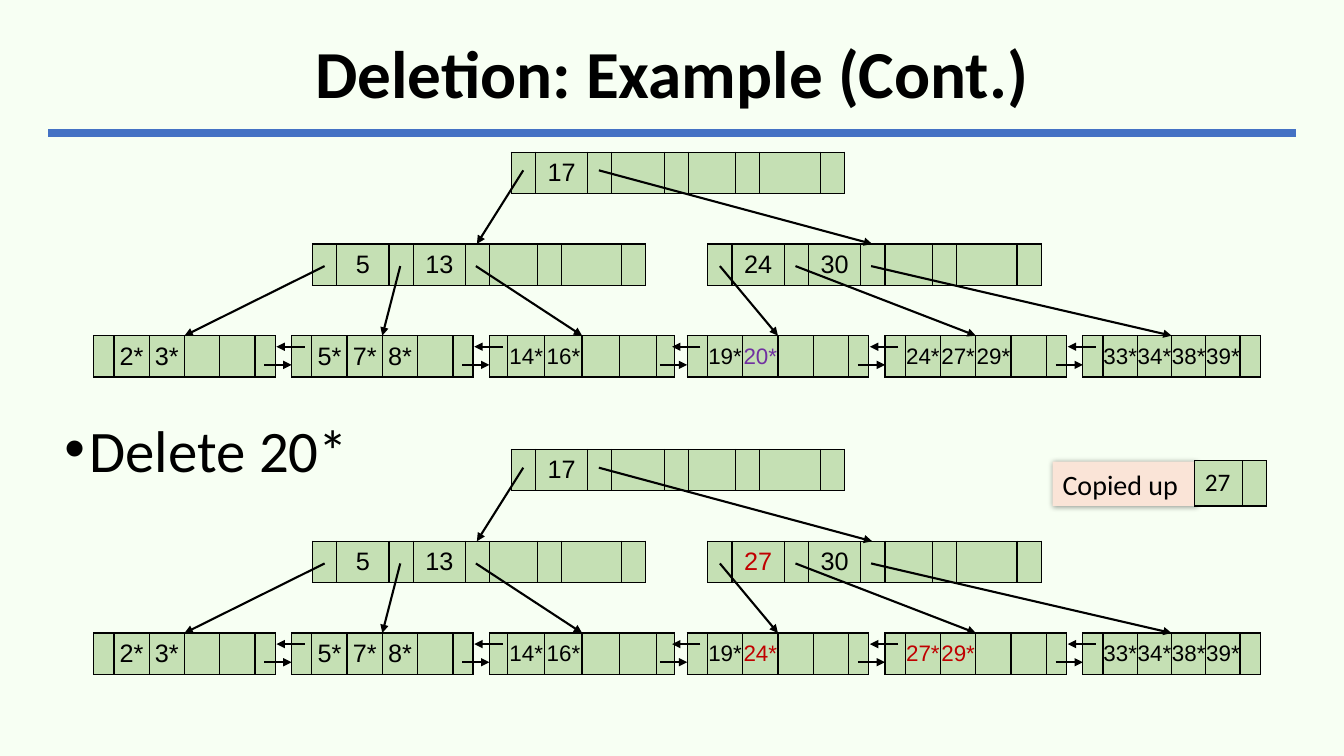
"""Builds the B+ tree deletion slide with the tree before and after deleting 20*."""
from lxml import etree
from pptx import Presentation
from pptx.dml.color import RGBColor
from pptx.enum.shapes import MSO_CONNECTOR, MSO_SHAPE
from pptx.enum.text import MSO_ANCHOR, PP_ALIGN
from pptx.oxml import parse_xml
from pptx.oxml.ns import nsdecls, qn
from pptx.util import Inches, Pt

BLACK = RGBColor(0x00, 0x00, 0x00)
RED = RGBColor(0xC0, 0x00, 0x00)
PURPLE = RGBColor(0x70, 0x30, 0xA0)
BLUE = RGBColor(0x44, 0x72, 0xC4)
GREEN = RGBColor(0xC5, 0xE0, 0xB4)
PEACH = RGBColor(0xFA, 0xE4, 0xD7)
MINT = RGBColor(0xF7, 0xFF, 0xF3)

TITLE = "Deletion: Example (Cont.)"
STEP = "Delete 20*"
TREES = [
    {"top": 1.51, "root": ["17"], "inner": [["5", "13"], ["24", "30"]],
     "leaves": [["2*", "3*"], ["5*", "7*", "8*"], ["14*", "16*"], ["19*", "20*"],
                ["24*", "27*", "29*"], ["33*", "34*", "38*", "39*"]],
     "marked": {"20*": PURPLE}},
    {"top": 4.46, "root": ["17"], "inner": [["5", "13"], ["27", "30"]],
     "leaves": [["2*", "3*"], ["5*", "7*", "8*"], ["14*", "16*"], ["19*", "24*"],
                ["27*", "29*"], ["33*", "34*", "38*", "39*"]],
     "marked": dict.fromkeys(["27", "24*", "27*", "29*"], RED)},
]

NODE_COLS = [0.23, 0.52, 0.23, 0.52, 0.23, 0.47, 0.23, 0.6, 0.23]
LEAF_STYLES = [(0.35, 0.2, 18), (0.35, 0.2, 18), (0.37, 0.18, 16),
               (0.35, 0.2, 16), (0.35, 0.2, 16), (0.34, 0.2, 16)]
ROOT_LEFT, INNER_LEFTS = 5.07, [3.1, 7.02]
LEAF_LEFT, LEAF_STEP = 0.93, 1.962
INNER_DROP, LEAF_DROP, ROW = 0.91, 1.82, 0.41

deck = Presentation()
deck.slide_width, deck.slide_height = Inches(13.33), Inches(7.5)
page = deck.slides.add_slide(deck.slide_layouts[5])


def write(frame, text, size, font="Arial", color=BLACK, bold=False,
          align=PP_ALIGN.CENTER):
    """Puts one formatted paragraph into a text frame."""
    para = frame.paragraphs[0]
    para.alignment = align
    span = para.add_run()
    span.text = text
    span.font.name, span.font.size, span.font.bold = font, Pt(size), bold
    span.font.color.rgb = color
    return para


def add_line(start, end, color=BLACK, width=1.5, arrow=True):
    """Draws a straight line, with an arrowhead at its end if asked."""
    points = [Inches(value) for value in (*start, *end)]
    line = page.shapes.add_connector(MSO_CONNECTOR.STRAIGHT, *points)
    line.line.color.rgb, line.line.width = color, Pt(width)
    if arrow:
        etree.SubElement(line.line._get_or_add_ln(), qn("a:tailEnd"), type="triangle")
    etree.SubElement(line._element.spPr, qn("a:effectLst"))


def add_border(cell):
    """Gives a cell a thin black line on each side."""
    for side in ("lnL", "lnR", "lnT", "lnB"):
        cell._tc.get_or_add_tcPr().append(parse_xml(
            f'<a:{side} {nsdecls("a")} w="12700"><a:solidFill>'
            f'<a:srgbClr val="{BLACK}"/></a:solidFill></a:{side}>'))


def add_node(texts, left, top, cols, size=18, font="Arial", marked=None,
             align=PP_ALIGN.CENTER, height=ROW, inset=0.1):
    """Draws a one-row table from a dict of column index to key."""
    table = page.shapes.add_table(1, len(cols), Inches(left), Inches(top),
                                  Inches(sum(cols)), Inches(height)).table
    table.first_row = table.horz_banding = False
    for index, width in enumerate(cols):
        table.columns[index].width = Inches(width)
        cell = table.cell(0, index)
        add_border(cell)
        cell.fill.solid()
        cell.fill.fore_color.rgb = GREEN
        cell.vertical_anchor = MSO_ANCHOR.MIDDLE
        cell.margin_left = cell.margin_right = Inches(inset)
        if index in texts:
            key = texts[index]
            write(cell.text_frame, key, size, font=font, align=align,
                  color=(marked or {}).get(key, BLACK))


def add_tree(tree):
    """Draws the root, inner nodes and leaves, then the pointers between them."""
    top, marked = tree["top"], tree["marked"]
    inner_top, leaf_top = top + INNER_DROP, top + LEAF_DROP
    leaf_lefts = [LEAF_LEFT + LEAF_STEP * index for index in range(len(tree["leaves"]))]
    nodes = [(tree["root"], ROOT_LEFT, top)]
    nodes += [(keys, left, inner_top) for keys, left in zip(tree["inner"], INNER_LEFTS)]
    for keys, left, node_top in nodes:
        texts = {2 * slot + 1: key for slot, key in enumerate(keys)}
        add_node(texts, left, node_top, NODE_COLS, marked=marked)

    leaf_centres = []
    for keys, left, (key_width, pad, size) in zip(tree["leaves"], leaf_lefts, LEAF_STYLES):
        cols = [pad] + [key_width] * 4 + [pad]
        add_node(dict(enumerate(keys, 1)), left, leaf_top, cols, size=size,
                 marked=marked, inset=0)
        leaf_centres.append(left + sum(cols) / 2)

    for child, left in enumerate(INNER_LEFTS):
        add_line((ROOT_LEFT + 0.12 + 0.75 * child, top + 0.18),
                 (left + sum(NODE_COLS) / 2, inner_top))
        for slot in range(3):
            add_line((left + 0.12 + 0.75 * slot, inner_top + 0.22),
                     (leaf_centres[3 * child + slot], leaf_top))
    for left in leaf_lefts[1:]:
        add_line((left + 0.13, leaf_top + 0.11), (left - 0.15, leaf_top + 0.11))
        add_line((left - 0.27, leaf_top + 0.29), (left, leaf_top + 0.29))


page.background.fill.solid()
page.background.fill.fore_color.rgb = MINT

title = page.shapes.title
title.left, title.top = Inches(0.48), Inches(0.24)
title.width, title.height = Inches(12.37), Inches(1.04)
title.text_frame.vertical_anchor = MSO_ANCHOR.MIDDLE
write(title.text_frame, TITLE, 48, font="Calibri", bold=True).line_spacing = 0.9
add_line((0.48, 1.32), (12.85, 1.32), color=BLUE, width=6, arrow=False)

box = page.shapes.add_textbox(Inches(0.54), Inches(4.05), Inches(4), Inches(0.81))
box.text_frame.word_wrap = True
bullet = write(box.text_frame, STEP, 42, font="Calibri", align=PP_ALIGN.LEFT)
properties = bullet._p.get_or_add_pPr()
properties.set("marL", str(Inches(0.25)))
properties.set("indent", str(-Inches(0.25)))
etree.SubElement(properties, qn("a:buFont"), typeface="Arial")
etree.SubElement(properties, qn("a:buChar"), char="•")

for tree in TREES:
    add_tree(tree)

label = page.shapes.add_shape(MSO_SHAPE.RECTANGLE, Inches(10.44), Inches(4.58),
                              Inches(1.42), Inches(0.44))
label.fill.solid()
label.fill.fore_color.rgb = PEACH
label.line.fill.background()
label.shadow.inherit = False
shadow = etree.SubElement(label._element.spPr.find(qn("a:effectLst")), qn("a:outerShdw"),
                          blurRad=str(Pt(4)), dist=str(Pt(1)), dir="2700000")
shade = etree.SubElement(shadow, qn("a:srgbClr"), val=str(BLACK))
etree.SubElement(shade, qn("a:alpha"), val="40000")
label.text_frame.word_wrap = True
write(label.text_frame, "Copied up", 20, font="Calibri", align=PP_ALIGN.LEFT)
add_node({0: "27"}, 11.85, 4.57, [0.47, 0.23], font="Calibri",
         align=PP_ALIGN.LEFT, height=0.45)

deck.save("out.pptx")
